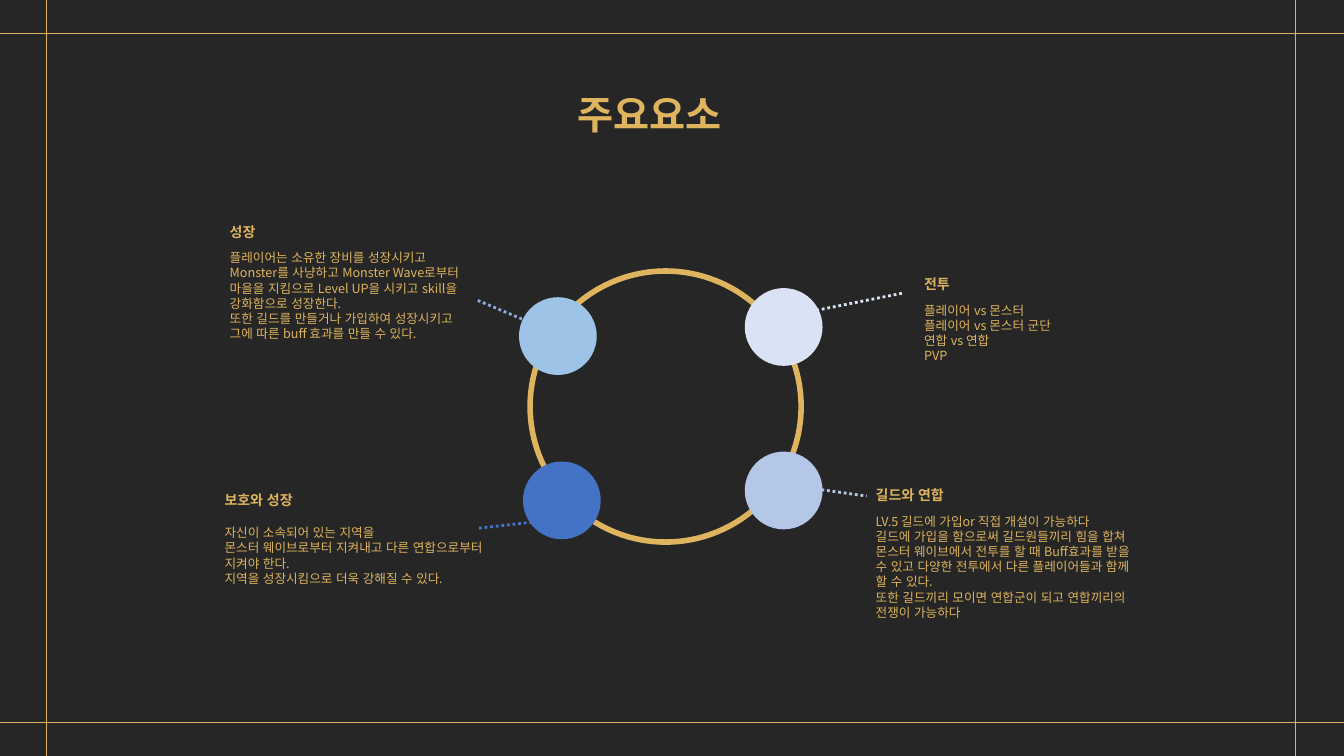
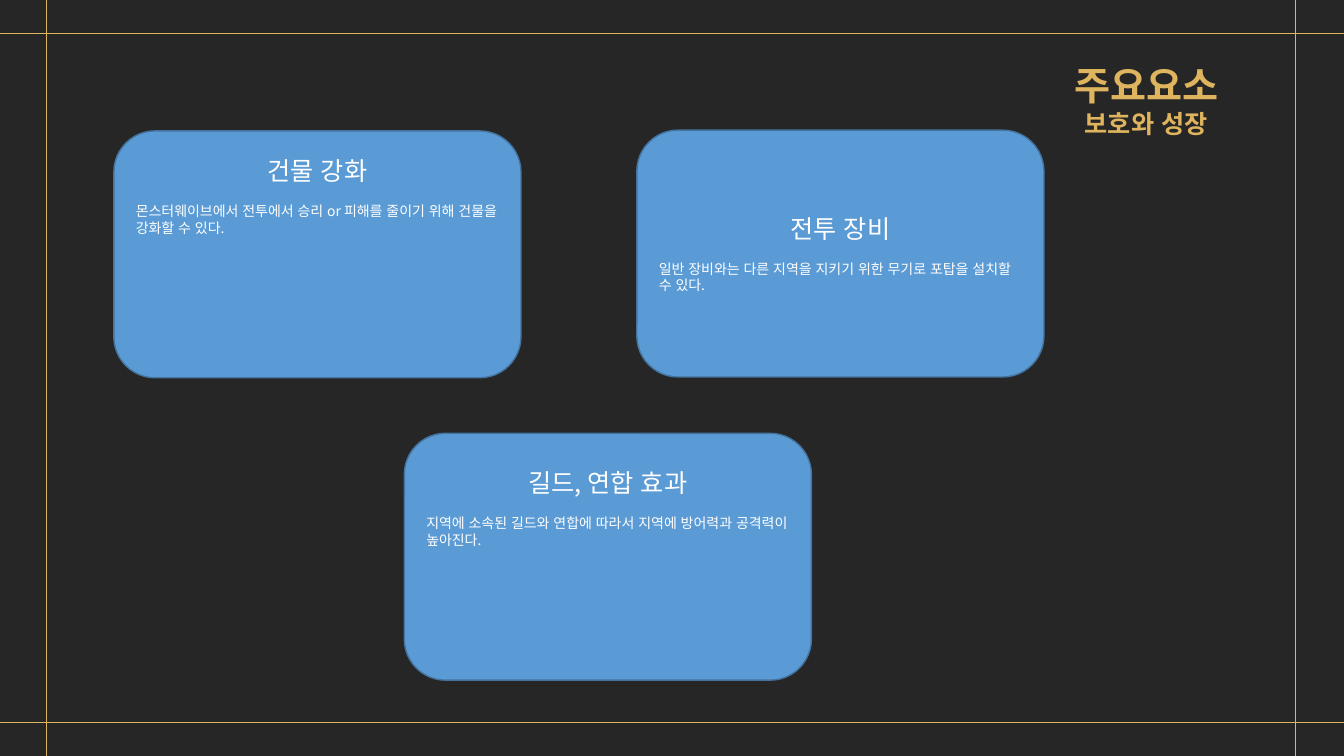
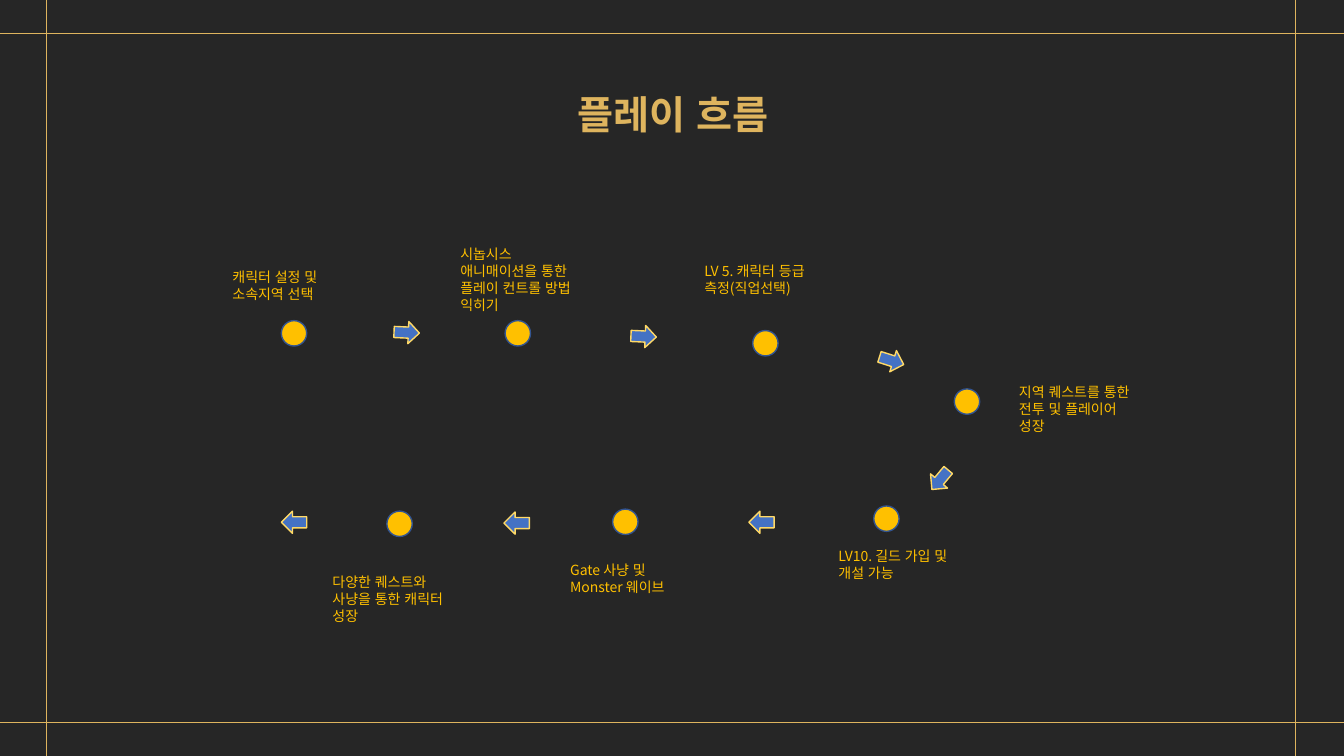
from dataclasses import dataclass

import lxml.etree
import pptx
import pptx.dml.color
import pptx.enum.dml
import pptx.enum.lang
import pptx.enum.shapes
import pptx.enum.text
import pptx.oxml.ns
import pptx.util

Cm, Pt = pptx.util.Cm, pptx.util.Pt
SHAPE = pptx.enum.shapes.MSO_SHAPE
ALIGN = pptx.enum.text.PP_ALIGN
ANCHOR = pptx.enum.text.MSO_ANCHOR


@dataclass(frozen=True)
class Theme:
    width: float = 33.87
    height: float = 19.05
    font: str = "Noto Sans CJK KR"
    ground: str = "262626"
    gold: str = "DEB45E"
    white: str = "FFFFFF"
    card: str = "5B9BD5"
    card_edge: str = "43739E"
    amber: str = "FFC000"
    dot_edge: str = "325491"
    arrow: str = "4472C4"
    arrow_edge: str = "FFD966"
    title: int = 28
    subtitle: int = 18
    label: int = 10
    body: int = 9


THEME = Theme()


@dataclass(frozen=True)
class Topic:
    """One node of the ring; every place is measured from the ring's corner."""
    node: tuple
    colour: str
    leader: tuple
    leader_colour: str
    heading_at: tuple
    heading: str
    body_drop: float
    lines: tuple


@dataclass(frozen=True)
class Step:
    """One stop of the flow; the label is measured from its dot."""
    dot: tuple
    label_offset: tuple
    lines: tuple
    arrow: tuple
    turn: float


TOPICS = (
    Topic((5.41, 0.43), "DAE3F3", (7.21, 0.99, 9.37, 0.56), "DAE3F3",
          (9.68, 0), "전투", 0.67,
          ("플레이어 vs 몬스터", "플레이어 vs 몬스터 군단", "연합 vs 연합", "PVP")),
    Topic((-0.28, 0.66), "9DC3E6", (-1.32, 0.74, -0.18, 1.22), "8FAADC",
          (-7.82, -1.32), "성장", 0.67,
          ("플레이어는 소유한 장비를 성장시키고",
           "Monster를 사냥하고 Monster Wave로부터",
           "마을을 지킴으로 Level UP을 시키고 skill을",
           "강화함으로 성장한다.",
           "또한 길드를 만들거나 가입하여 성장시키고",
           "그에 따른 buff 효과를 만들 수 있다.")),
    Topic((-0.18, 4.8), "4472C4", (-1.29, 6.48, 0.03, 6.33), "4472C4",
          (-7.95, 5.44), "보호와 성장", 0.84,
          ("자신이 소속되어 있는 지역을",
           "몬스터 웨이브로부터 지켜내고 다른 연합으로부터",
           "지켜야 한다.",
           "지역을 성장시킴으로 더욱 강해질 수 있다.")),
    Topic((5.41, 4.55), "B4C7E7", (7.34, 5.51, 8.48, 5.67), "B4C7E7",
          (8.46, 5.31), "길드와 연합", 0.68,
          ("LV.5 길드에 가입or 직접 개설이 가능하다",
           "길드에 가입을 함으로써 길드원들끼리 힘을 합쳐",
           "몬스터 웨이브에서 전투를 할 때 Buff효과를 받을",
           "수 있고 다양한 전투에서 다른 플레이어들과 함께",
           "할 수 있다.",
           "또한 길드끼리 모이면 연합군이 되고 연합끼리의",
           "전쟁이 가능하다")),
)

# Place of the card, room kept free below its text, heading, body
CARDS = (
    ((2.87, 3.3), 2.96, "건물 강화",
     "몬스터웨이브에서 전투에서 승리 or 피해를 줄이기 위해 건물을 강화할 수 있다."),
    ((16.05, 3.28), 0, "전투 장비",
     "일반 장비와는 다른 지역을 지키기 위한 무기로 포탑을 설치할 수 있다."),
    ((10.19, 10.92), 2.46, "길드, 연합 효과",
     "지역에 소속된 길드와 연합에 따라서 지역에 방어력과 공격력이 높아진다."),
)

STEPS = (
    Step((0, 0), (-1.48, -1.43), ("캐릭터 설정 및 소속지역 선택",), (2.84, 0.02), 2.5),
    Step((5.64, 0), (-1.38, -2.01),
         ("시놉시스 애니매이션을 통한 플레이 컨트롤 방법 익히기",), (8.81, 0.12), 2.5),
    Step((11.88, 0.25), (-1.47, -1.83),
         ("LV 5. 캐릭터 등급 측정(직업선택)",), (15.06, 0.73), 17.5),
    Step((16.96, 1.72), (1.38, -0.25),
         ("지역 퀘스트를 통한 전투 및 플레이어 성장",), (16.28, 3.73), 129.9),
    Step((14.93, 4.67), (-1.14, 0.92),
         ("LV10. 길드 가입 및 개설 가능",), (11.78, 4.8), 180),
    Step((8.35, 4.75), (-1.32, 1.19), ("Gate 사냥 및", "Monster 웨이브"), (5.61, 4.82), 180),
    Step((2.66, 4.8), (-1.62, 1.45),
         ("다양한 퀘스트와 사냥을 통한 캐릭터 성장",), (0, 4.8), 180),
)


def rgb(colour):
    return pptx.dml.color.RGBColor.from_string(colour)


def apply(target, **values):
    for name, value in values.items():
        setattr(target, name, value)


def write(para, text, size, colour, bold=False, **para_values):
    apply(para, **{"alignment": ALIGN.LEFT, **para_values})
    span = para.add_run()
    span.text = text
    apply(span.font, name=THEME.font, size=Pt(size), bold=bold,
          language_id=pptx.enum.lang.MSO_LANGUAGE_ID.KOREAN)
    span.font.color.rgb = rgb(colour)
    east_asian = pptx.oxml.ns.qn("a:ea")
    lxml.etree.SubElement(span.font._element, east_asian, typeface=THEME.font)


def paragraphs(frame, count):
    """Return the frame's first paragraph and as many more as are needed."""
    return [frame.paragraphs[0]] + [frame.add_paragraph() for _ in range(count - 1)]


def add_text(page, box, lines, size, colour, bold=False, wrap=False):
    frame = page.shapes.add_textbox(*map(Cm, box)).text_frame
    apply(frame, word_wrap=wrap,
          auto_size=pptx.enum.text.MSO_AUTO_SIZE.SHAPE_TO_FIT_TEXT)
    for para, line in zip(paragraphs(frame, len(lines)), lines):
        write(para, line, size, colour, bold)
    return frame


def add_shape(page, kind, box, fill=None, edge=None, weight=1):
    shape = page.shapes.add_shape(kind, *map(Cm, box))
    shape.shadow.inherit = False
    if fill:
        shape.fill.solid()
        shape.fill.fore_color.rgb = rgb(fill)
    else:
        shape.fill.background()
    if edge:
        shape.line.color.rgb = rgb(edge)
        shape.line.width = Pt(weight)
    else:
        shape.line.fill.background()
    return shape


def add_line(page, ends, colour, weight, dash=None):
    straight = pptx.enum.shapes.MSO_CONNECTOR.STRAIGHT
    line = page.shapes.add_connector(straight, *map(Cm, ends))
    line.line.color.rgb = rgb(colour)
    apply(line.line, width=Pt(weight), dash_style=dash)
    lxml.etree.SubElement(line._element.spPr, pptx.oxml.ns.qn("a:effectLst"))


def add_page(deck, title, title_box, subtitle=None):
    """Add a dark page with its four frame lines and its title."""
    page = deck.slides.add_slide(deck.slide_layouts[6])
    page.background.fill.solid()
    page.background.fill.fore_color.rgb = rgb(THEME.ground)
    for x in (1.17, 32.64):
        add_line(page, (x, 0, x, THEME.height), THEME.gold, 0.5)
    for y in (18.21, 0.84):
        add_line(page, (THEME.width, y, 0, y), THEME.gold, 0.5)
    frame = add_text(page, title_box, [title], THEME.title, THEME.gold, bold=True)
    if subtitle:
        write(frame.add_paragraph(), subtitle, THEME.subtitle, THEME.gold,
              bold=True, alignment=ALIGN.CENTER)
    return page


def add_topic_ring(page, left, top, size):
    node_size = 1.96
    add_shape(page, SHAPE.OVAL, (left, top, size, size), edge=THEME.gold, weight=4)
    for topic in TOPICS:
        x, y = topic.node
        add_shape(page, SHAPE.OVAL, (left + x, top + y, node_size, node_size),
                  topic.colour)
    for topic in TOPICS:
        x, y = left + topic.heading_at[0], top + topic.heading_at[1]
        add_text(page, (x, y, 2.4, 0.68), [topic.heading], THEME.label,
                 THEME.gold, bold=True)
        add_text(page, (x, y + topic.body_drop, 7, 0.39 * len(topic.lines) + 0.25),
                 topic.lines, THEME.body, THEME.gold)
        x1, y1, x2, y2 = topic.leader
        add_line(page, (left + x1, top + y1, left + x2, top + y2),
                 topic.leader_colour, 2, pptx.enum.dml.MSO_LINE.ROUND_DOT)


def add_card(page, box, room_below, heading, body):
    card = add_shape(page, SHAPE.ROUNDED_RECTANGLE, box, THEME.card, THEME.card_edge)
    frame = card.text_frame
    apply(frame, word_wrap=True, vertical_anchor=ANCHOR.MIDDLE,
          margin_bottom=Cm(0.13 + room_below))
    first, second = paragraphs(frame, 2)
    write(first, heading, THEME.subtitle, THEME.white,
          alignment=ALIGN.CENTER, space_after=Pt(12))
    write(second, body, THEME.label, THEME.white)


def add_flow(page, left, top):
    dot_size, arrow_height, label_width = 0.64, 0.56, 3.53
    for step in STEPS:
        x, y = left + step.dot[0], top + step.dot[1]
        add_shape(page, SHAPE.OVAL, (x, y, dot_size, dot_size),
                  THEME.amber, THEME.dot_edge)
        arrow_box = (left + step.arrow[0], top + step.arrow[1], dot_size, arrow_height)
        arrow = add_shape(page, SHAPE.RIGHT_ARROW, arrow_box,
                          THEME.arrow, THEME.arrow_edge)
        arrow.rotation = step.turn
        dx, dy = step.label_offset
        add_text(page, (x + dx, y + dy, label_width, 1.12), step.lines,
                 THEME.label, THEME.amber, wrap=True)


def main():
    deck = pptx.Presentation()
    apply(deck, slide_width=Cm(THEME.width), slide_height=Cm(THEME.height))

    elements = add_page(deck, "주요요소", (14.3, 2.16, 4.5, 1.45))
    add_topic_ring(elements, 13.36, 6.83, 6.83)

    defence = add_page(deck, "주요요소", (26.82, 1.42, 4.5, 2.31), "보호와 성장")
    for place, room_below, heading, body in CARDS:
        add_card(defence, (*place, 10.26, 6.22), room_below, heading, body)

    flow = add_page(deck, "플레이 흐름", (14.3, 2.16, 6.2, 1.45))
    add_flow(flow, 7.09, 8.08)

    deck.save("out.pptx")


if __name__ == "__main__":
    main()
